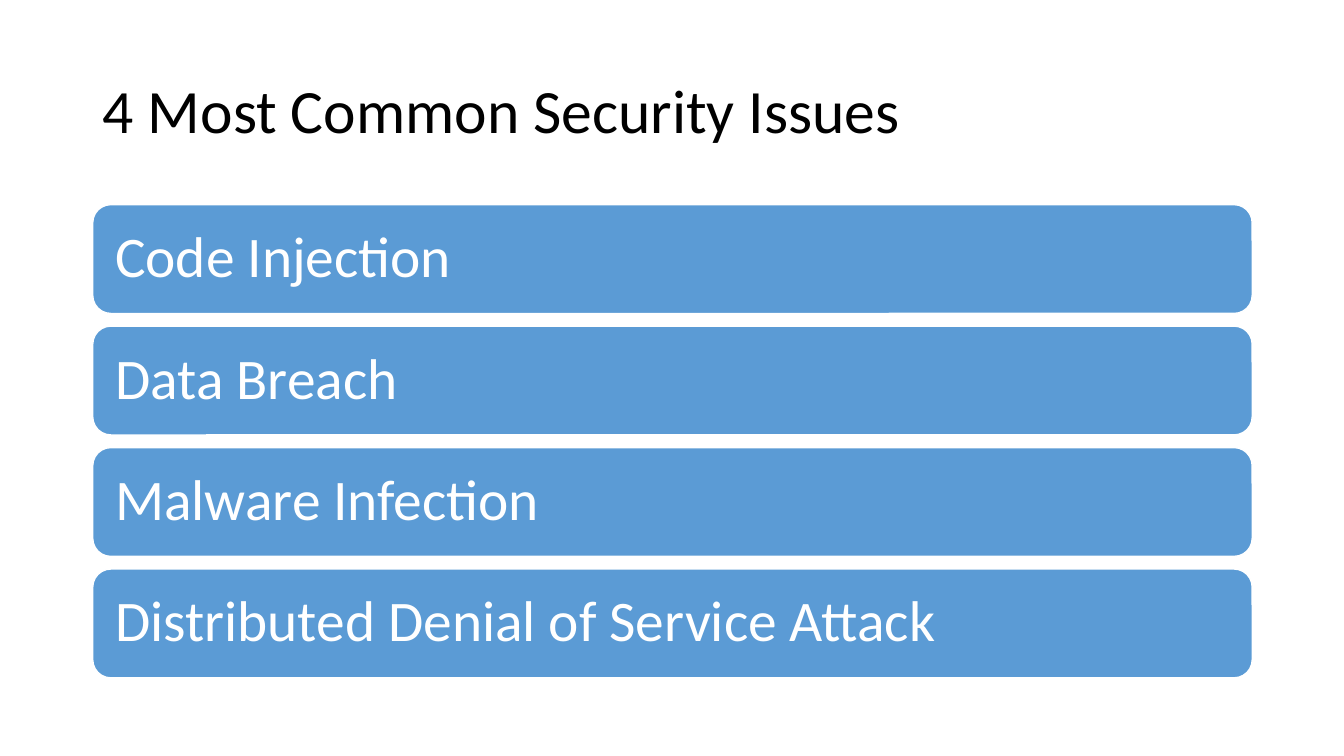
from pptx import Presentation
from pptx.dml.color import RGBColor
from pptx.enum.shapes import MSO_SHAPE as Shape
from pptx.enum.text import MSO_ANCHOR as Anchor, PP_ALIGN as Align
from pptx.util import Inches, Pt

BLACK = RGBColor(0x00, 0x00, 0x00)
WHITE = RGBColor(0xFF, 0xFF, 0xFF)
BLUE = RGBColor(0x5B, 0x9B, 0xD5)

LEFT, WIDTH = 0.92, 11.5
TOP, HEIGHT, STEP = 2.03, 1.08, 1.205
ISSUES = [
    "Code Injection",
    "Data Breach",
    "Malware Infection",
    "Distributed Denial of Service Attack",
]


def set_text(frame, text, size, color):
    frame.text = text
    frame.word_wrap = True
    frame.vertical_anchor = Anchor.MIDDLE
    para = frame.paragraphs[0]
    para.alignment = Align.LEFT
    para.line_spacing = 0.9
    font = para.font
    font.name = "Calibri"
    font.size = Pt(size)
    font.color.rgb = color


def place_title(slide, text):
    title = slide.shapes.title
    title.left, title.top = Inches(LEFT), Inches(0.4)
    title.width, title.height = Inches(WIDTH), Inches(1.45)
    set_text(title.text_frame, text, 44, BLACK)


def add_bar(slide, top, text):
    bar = slide.shapes.add_shape(
        Shape.ROUNDED_RECTANGLE,
        Inches(LEFT), Inches(top), Inches(WIDTH), Inches(HEIGHT))
    bar.shadow.inherit = False
    bar.fill.solid()
    bar.fill.fore_color.rgb = BLUE
    bar.line.color.rgb = WHITE
    bar.line.width = Pt(1)
    frame = bar.text_frame
    frame.margin_left = frame.margin_right = Inches(0.17)
    frame.margin_top = frame.margin_bottom = Inches(0.17)
    set_text(frame, text, 41, WHITE)


def main():
    deck = Presentation()
    deck.slide_width, deck.slide_height = Inches(13.33), Inches(7.5)
    slide = deck.slides.add_slide(deck.slide_layouts[5])

    # Heading
    place_title(slide, "4 Most Common Security Issues")

    # Stack of issues
    for row, issue in enumerate(ISSUES):
        add_bar(slide, TOP + row * STEP, issue)

    deck.save("out.pptx")


if __name__ == "__main__":
    main()
